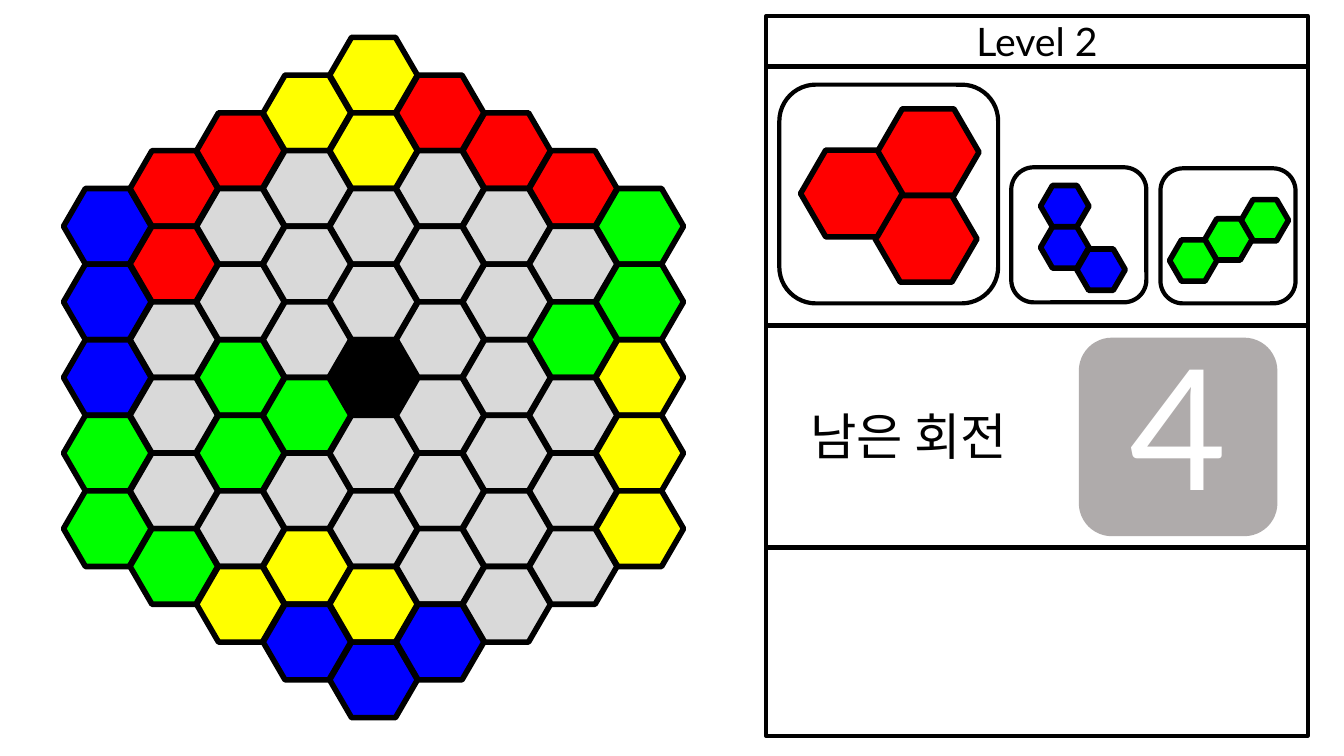
from lxml import etree
from pptx import Presentation
from pptx.dml.color import RGBColor
from pptx.enum.shapes import MSO_SHAPE
from pptx.enum.text import MSO_ANCHOR, MSO_AUTO_SIZE, PP_ALIGN
from pptx.oxml.ns import qn
from pptx.util import Inches, Pt

HEXAGON = MSO_SHAPE.HEXAGON
RECTANGLE = MSO_SHAPE.RECTANGLE
ROUNDED = MSO_SHAPE.ROUNDED_RECTANGLE
CENTER = PP_ALIGN.CENTER
LEFT = PP_ALIGN.LEFT
MIDDLE = MSO_ANCHOR.MIDDLE
FIT_SHAPE = MSO_AUTO_SIZE.SHAPE_TO_FIT_TEXT
NO_FIT = MSO_AUTO_SIZE.NONE

LATIN, KOREAN = "Lato", "Noto Sans CJK KR"
COLOURS = {
    "R": "FF0000", "G": "00FF00", "B": "0000FF",
    "Y": "FFFF00", "K": "000000", ".": "D9D9D9",
}

# One string for each board column, read from top to bottom
BOARD = [
    "BBBGG",
    "RR...G",
    "R..GG.Y",
    "Y...G.YB",
    "YY..K..YB",
    "R......B",
    "R......",
    "R.G...",
    "GGYYY",
]
BOARD_LEFT, BOARD_TOP = 0.63, 0.37
COLUMN_STEP, ROW_STEP = 0.66, 0.75
TILE = (0.87, 0.75)

PANEL_LEFT, PANEL_WIDTH = 7.6, 5.37
TITLE, TITLE_TOP, TITLE_HEIGHT = "Level 2", 0.16, 0.5
PANELS = [(0.66, 2.57), (3.23, 2.2), (5.44, 1.86)]  # top, height

# Card (left, top, side), colour, tile size, tile corners
PIECES = [
    ((7.73, 0.84, 2.17), "R", (1.01, 0.86),
     [(8.7, 1.08), (8.68, 1.94), (7.94, 1.49)]),
    ((10.03, 1.66, 1.34), "B", (0.48, 0.41),
     [(10.32, 1.84), (10.32, 2.25), (10.68, 2.47)]),
    ((11.51, 1.67, 1.34), "G", (0.47, 0.41),
     [(12.31, 1.98), (11.95, 2.17), (11.6, 2.38)]),
]
TURNS_LABEL, TURNS_LEFT = "남은 회전", "4"


def colour(value):
    return RGBColor.from_string(value)


def outline(shape, width):
    shape.line.color.rgb = colour("000000")
    shape.line.width = Pt(width)


def add_block(shapes, kind, left, top, width, height, fill=None, line=3):
    block = shapes.add_shape(
        kind, Inches(left), Inches(top), Inches(width), Inches(height))
    block.shadow.inherit = False
    if fill:
        block.fill.solid()
        block.fill.fore_color.rgb = colour(fill)
    else:
        block.fill.background()
    if line:
        outline(block, line)
    else:
        block.line.fill.background()
    return block


def add_tile(shapes, left, top, size, code):
    tile = add_block(shapes, HEXAGON, left, top, *size, COLOURS[code], 4)
    tile.adjustments[0] = 0.29


def write(shape, text, size, font, ink, align):
    frame = shape.text_frame
    frame.text = text
    para = frame.paragraphs[0]
    para.alignment = align
    span = para.runs[0]
    span.font.size = Pt(size)
    span.font.name = font
    span.font.color.rgb = colour(ink)
    east_asian = etree.SubElement(span.font._element, qn("a:ea"))
    east_asian.set("typeface", font)
    return frame


def add_board(page):
    middle = len(BOARD) // 2
    for column, codes in enumerate(BOARD):
        left = BOARD_LEFT + column * COLUMN_STEP
        top = BOARD_TOP + abs(column - middle) * ROW_STEP / 2
        for row, code in enumerate(codes):
            add_tile(page.shapes, left, top + row * ROW_STEP, TILE, code)


def add_panels(page):
    title = page.shapes.title
    title.left, title.top = Inches(PANEL_LEFT), Inches(TITLE_TOP)
    title.width, title.height = Inches(PANEL_WIDTH), Inches(TITLE_HEIGHT)
    outline(title, 3)
    frame = write(title, TITLE, 28, LATIN, "000000", CENTER)
    frame.vertical_anchor = MIDDLE
    frame.auto_size = NO_FIT
    for top, height in PANELS:
        add_block(page.shapes, RECTANGLE, PANEL_LEFT, top, PANEL_WIDTH, height)


def add_pieces(page):
    for (left, top, side), code, size, corners in PIECES:
        add_block(page.shapes, ROUNDED, left, top, side, side)
        piece = page.shapes.add_group_shape()
        for tile_left, tile_top in corners:
            add_tile(piece.shapes, tile_left, tile_top, size, code)


def add_turns(page):
    counter = add_block(
        page.shapes, ROUNDED, 10.7, 3.35, 1.97, 1.97, "AFABAB", None)
    frame = write(counter, TURNS_LEFT, 120, LATIN, "FFFFFF", CENTER)
    frame.vertical_anchor = MIDDLE
    frame.margin_bottom = Inches(0.31)
    label = page.shapes.add_textbox(
        Inches(7.94), Inches(3.97), Inches(2.42), Inches(0.71))
    frame = write(label, TURNS_LABEL, 36, KOREAN, "000000", LEFT)
    frame.word_wrap = True
    frame.auto_size = FIT_SHAPE


def main():
    deck = Presentation()
    deck.slide_width, deck.slide_height = Inches(13.33), Inches(7.5)
    page = deck.slides.add_slide(deck.slide_layouts.get_by_name("Title Only"))
    add_board(page)
    add_panels(page)
    add_pieces(page)
    add_turns(page)
    deck.save("out.pptx")


if __name__ == "__main__":
    main()
